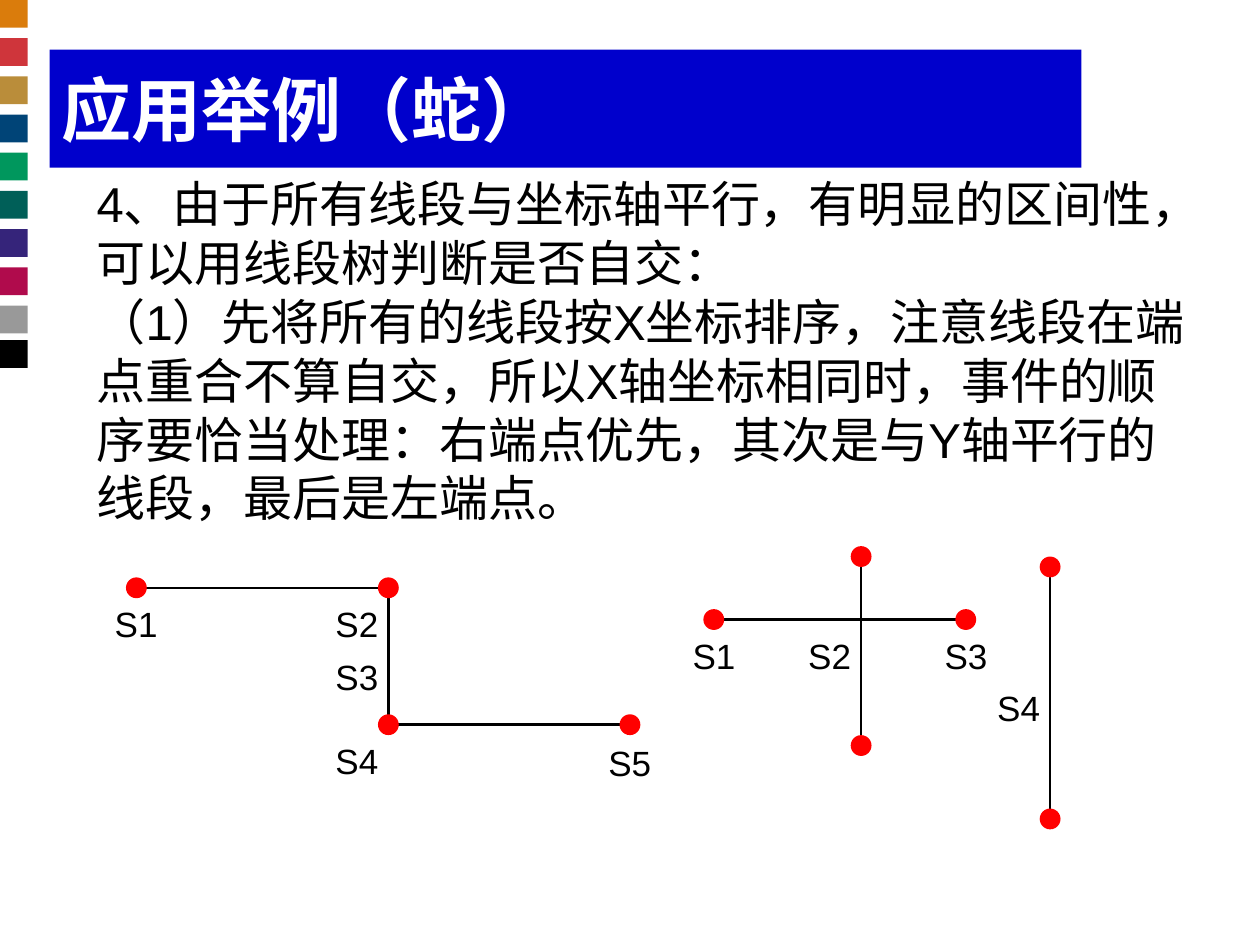
from pptx import Presentation
from pptx.dml.color import RGBColor
from pptx.enum.shapes import MSO_CONNECTOR, MSO_SHAPE
from pptx.enum.text import MSO_ANCHOR, MSO_AUTO_SIZE, PP_ALIGN
from pptx.oxml.ns import qn
from pptx.util import Cm, Pt
from lxml.etree import SubElement

COLOURS = {
    "banner": "0000CC",
    "banner_text": "FFFFFF",
    "ink": "000000",
    "dot": "FF0000",
}
STRIPES = [
    "DA7C0C", "CF353B", "BA8D3A", "004477", "00975D",
    "005F58", "35247A", "B00B4C", "999999", "000000",
]
STRIPE_SIZE, STRIPE_PITCH, LAST_STRIPE_TOP = 0.56, 0.77, 6.86
DOT_SIZE = 0.42
LABEL_WIDTH, LABEL_HEIGHT = 1.69, 1.12

TITLE = "应用举例（蛇）"
BODY = [
    "4、由于所有线段与坐标轴平行，有明显的区间性，可以用线段树判断是否自交：",
    "（1）先将所有的线段按X坐标排序，注意线段在端点重合不算自交，"
    "所以X轴坐标相同时，事件的顺序要恰当处理：右端点优先，"
    "其次是与Y轴平行的线段，最后是左端点。",
]
SNAKES = [
    [(2.75, 11.85), (7.83, 11.85), (7.83, 14.61), (12.7, 14.61)],
    [(14.39, 12.49), (19.47, 12.49)],
    [(17.36, 11.22), (17.36, 15.03)],
    [(21.17, 11.43), (21.17, 16.51)],
]
LABELS = [
    ("S1", 1.9, 12.02), ("S2", 6.35, 12.02), ("S3", 6.35, 13.08),
    ("S4", 6.35, 14.78), ("S5", 11.85, 14.82),
    ("S1", 13.55, 12.66), ("S2", 15.88, 12.66), ("S3", 18.63, 12.66),
    ("S4", 19.69, 13.71),
]


class SlideBuilder:
    font = "Arial"

    def __init__(self, page):
        self.page = page

    def shape(self, kind, left, top, width, height, colour):
        shape = self.page.shapes.add_shape(
            kind, Cm(left), Cm(top), Cm(width), Cm(height))
        shape.shadow.inherit = False
        shape.fill.solid()
        shape.fill.fore_color.rgb = RGBColor.from_string(colour)
        shape.line.fill.background()
        return shape

    def fill_text(self, frame, lines, size, colour, align=PP_ALIGN.LEFT, bold=False):
        frame.word_wrap = True
        for index, line in enumerate(lines):
            para = frame.add_paragraph() if index else frame.paragraphs[0]
            para.alignment = align
            span = para.add_run()
            span.text = line
            span.font.name = self.font
            span.font.size = Pt(size)
            span.font.bold = bold
            span.font.color.rgb = RGBColor.from_string(colour)

    def banner(self, text, left, top, width, height):
        box = self.shape(MSO_SHAPE.RECTANGLE, left, top, width, height,
                         COLOURS["banner"])
        frame = box.text_frame
        frame.margin_top = frame.margin_bottom = Cm(0.25)
        frame.vertical_anchor = MSO_ANCHOR.MIDDLE
        self.fill_text(frame, [text], 40, COLOURS["banner_text"], bold=True)

    def text(self, lines, left, top, width, height, size, align=PP_ALIGN.LEFT):
        box = self.page.shapes.add_textbox(
            Cm(left), Cm(top), Cm(width), Cm(height))
        box.text_frame.auto_size = MSO_AUTO_SIZE.SHAPE_TO_FIT_TEXT
        self.fill_text(box.text_frame, lines, size, COLOURS["ink"], align)

    def segment(self, start, end):
        line = self.page.shapes.add_connector(
            MSO_CONNECTOR.STRAIGHT, *(Cm(value) for value in start + end))
        line.line.color.rgb = RGBColor.from_string(COLOURS["ink"])
        line.line.width = Pt(1.5)
        SubElement(line._element.spPr, qn("a:effectLst"))

    def dot(self, x, y):
        self.shape(MSO_SHAPE.OVAL, x - DOT_SIZE / 2, y - DOT_SIZE / 2,
                   DOT_SIZE, DOT_SIZE, COLOURS["dot"])


def main():
    deck = Presentation()
    deck.slide_width, deck.slide_height = Cm(25.4), Cm(19.05)
    builder = SlideBuilder(deck.slides.add_slide(deck.slide_layouts[6]))

    tops = [index * STRIPE_PITCH for index in range(len(STRIPES) - 1)]
    for colour, top in zip(STRIPES, tops + [LAST_STRIPE_TOP]):
        builder.shape(MSO_SHAPE.RECTANGLE, 0, top, STRIPE_SIZE, STRIPE_SIZE, colour)

    builder.banner(TITLE, 1, 1, 20.8, 2.38)
    builder.text(BODY, 1.7, 3.38, 22.43, 7.37, 28)

    for snake in SNAKES:
        for start, end in zip(snake, snake[1:]):
            builder.segment(start, end)
    for snake in SNAKES:
        for point in snake:
            builder.dot(*point)
    for name, left, top in LABELS:
        builder.text([name], left, top, LABEL_WIDTH, LABEL_HEIGHT, 20,
                     PP_ALIGN.CENTER)

    deck.save("out.pptx")


if __name__ == "__main__":
    main()
